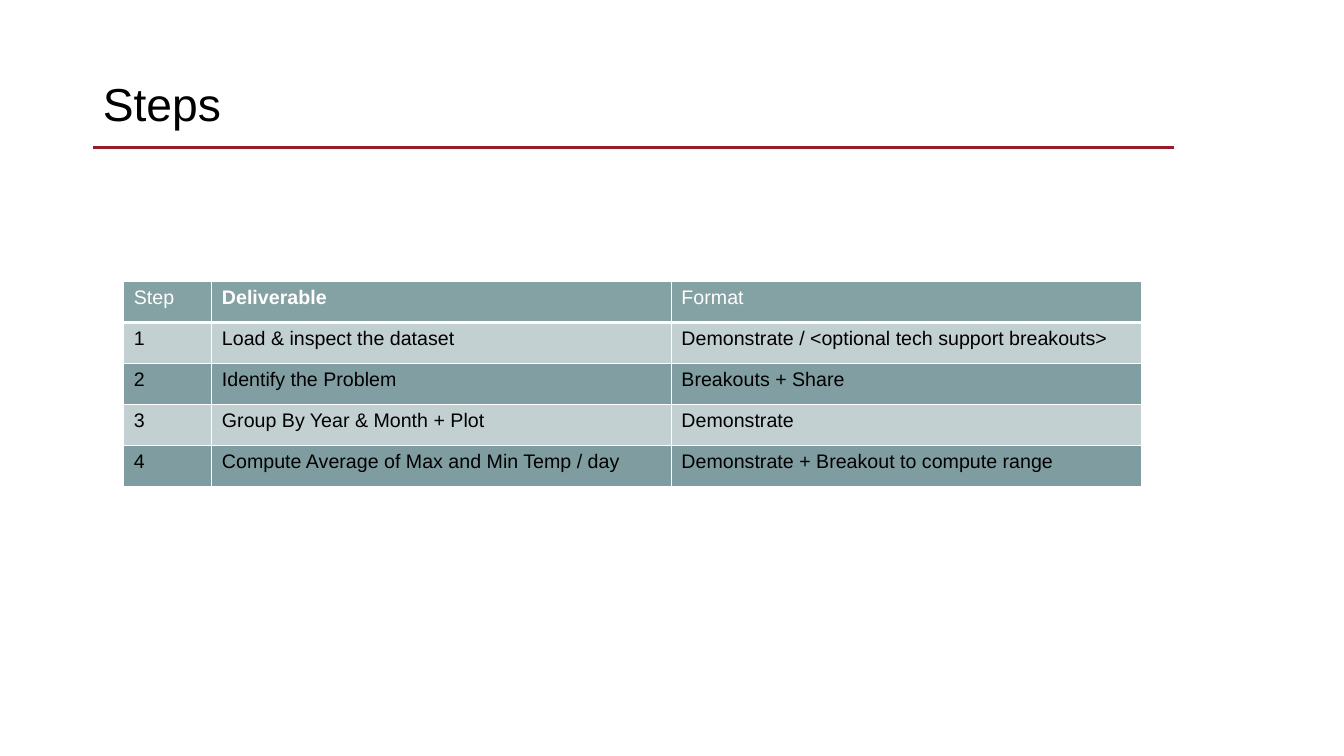
import pptx
import pptx.util
import pptx.dml.color
import pptx.enum.shapes
import pptx.enum.text
import pptx.oxml
import pptx.oxml.ns

Cm = pptx.util.Cm
Pt = pptx.util.Pt
RGBColor = pptx.dml.color.RGBColor
qn = pptx.oxml.ns.qn

BLACK = RGBColor(0x00, 0x00, 0x00)
WHITE = RGBColor(0xFF, 0xFF, 0xFF)
RED = RGBColor(0x97, 0x1B, 0x29)
TEAL = RGBColor(0x2E, 0x60, 0x64)

FONT = "Arial"
COLS = (2.22, 11.58, 11.86)
ROW = 1.03
ALPHAS = (59, 29, 60, 29, 61)
STEPS = (
    ("Step", "Deliverable", "Format"),
    ("1", "Load & inspect the dataset",
     "Demonstrate / <optional tech support breakouts>"),
    ("2", "Identify the Problem", "Breakouts + Share"),
    ("3", "Group By Year & Month + Plot", "Demonstrate"),
    ("4", "Compute Average of Max and Min Temp / day",
     "Demonstrate + Breakout to compute range"),
)


def add_run(para, text, size, color, bold=False):
    run = para.add_run()
    run.text = text
    run.font.name = FONT
    run.font.size = Pt(size)
    run.font.bold = bold
    run.font.color.rgb = color


def add_title(slide, text, left, top, width, height):
    title = slide.shapes.title
    title.left, title.top = Cm(left), Cm(top)
    title.width, title.height = Cm(width), Cm(height)
    frame = title.text_frame
    frame.word_wrap = True
    frame.vertical_anchor = pptx.enum.text.MSO_ANCHOR.MIDDLE
    para = frame.paragraphs[0]
    para.alignment = pptx.enum.text.PP_ALIGN.LEFT
    para.line_spacing = 0.9
    add_run(para, text, 33, BLACK)


def add_rule(slide, left, top, width):
    rule = slide.shapes.add_connector(
        pptx.enum.shapes.MSO_CONNECTOR.STRAIGHT,
        Cm(left), Cm(top), Cm(left + width), Cm(top))
    rule.line.color.rgb = RED
    rule.line.width = Pt(2)
    props = rule._element.spPr
    props.append(props.makeelement(qn("a:effectLst"), {}))


def add_edge(props, side, width):
    props.append(pptx.oxml.parse_xml(
        f'<a:{side} {pptx.oxml.ns.nsdecls("a")} w="{Pt(width)}">'
        f'<a:solidFill><a:srgbClr val="{WHITE}"/></a:solidFill>'
        f'</a:{side}>'))


def style_cell(cell, alpha, top, base):
    props = cell._tc.get_or_add_tcPr()
    for side, width in (("lnL", 1), ("lnR", 1), ("lnT", top), ("lnB", base)):
        add_edge(props, side, width)
    cell.fill.solid()
    cell.fill.fore_color.rgb = TEAL
    color = props.find(qn("a:solidFill")).find(qn("a:srgbClr"))
    color.append(color.makeelement(qn("a:alpha"), {"val": str(alpha * 1000)}))


def add_steps(slide, left, top):
    table = slide.shapes.add_table(
        len(STEPS), len(COLS), Cm(left), Cm(top),
        Cm(sum(COLS)), Cm(ROW * len(STEPS))).table
    table.horz_banding = False
    for col, width in zip(table.columns, COLS):
        col.width = Cm(width)
    for r, (texts, alpha) in enumerate(zip(STEPS, ALPHAS)):
        table.rows[r].height = Cm(ROW)
        for c, text in enumerate(texts):
            cell = table.cell(r, c)
            style_cell(cell, alpha, 3 if r == 1 else 1, 3 if r == 0 else 1)
            add_run(cell.text_frame.paragraphs[0], text, 14,
                    BLACK if r else WHITE, text == "Deliverable")


def main():
    deck = pptx.Presentation()
    deck.slide_width, deck.slide_height = Cm(33.87), Cm(19.05)
    slide = deck.slides.add_slide(deck.slide_layouts[5])
    add_rule(slide, 2.34, 3.72, 27.25)
    add_title(slide, "Steps", 2.34, 0.84, 29.21, 3.68)
    add_steps(slide, 3.12, 7.1)
    deck.save("out.pptx")


if __name__ == "__main__":
    main()
